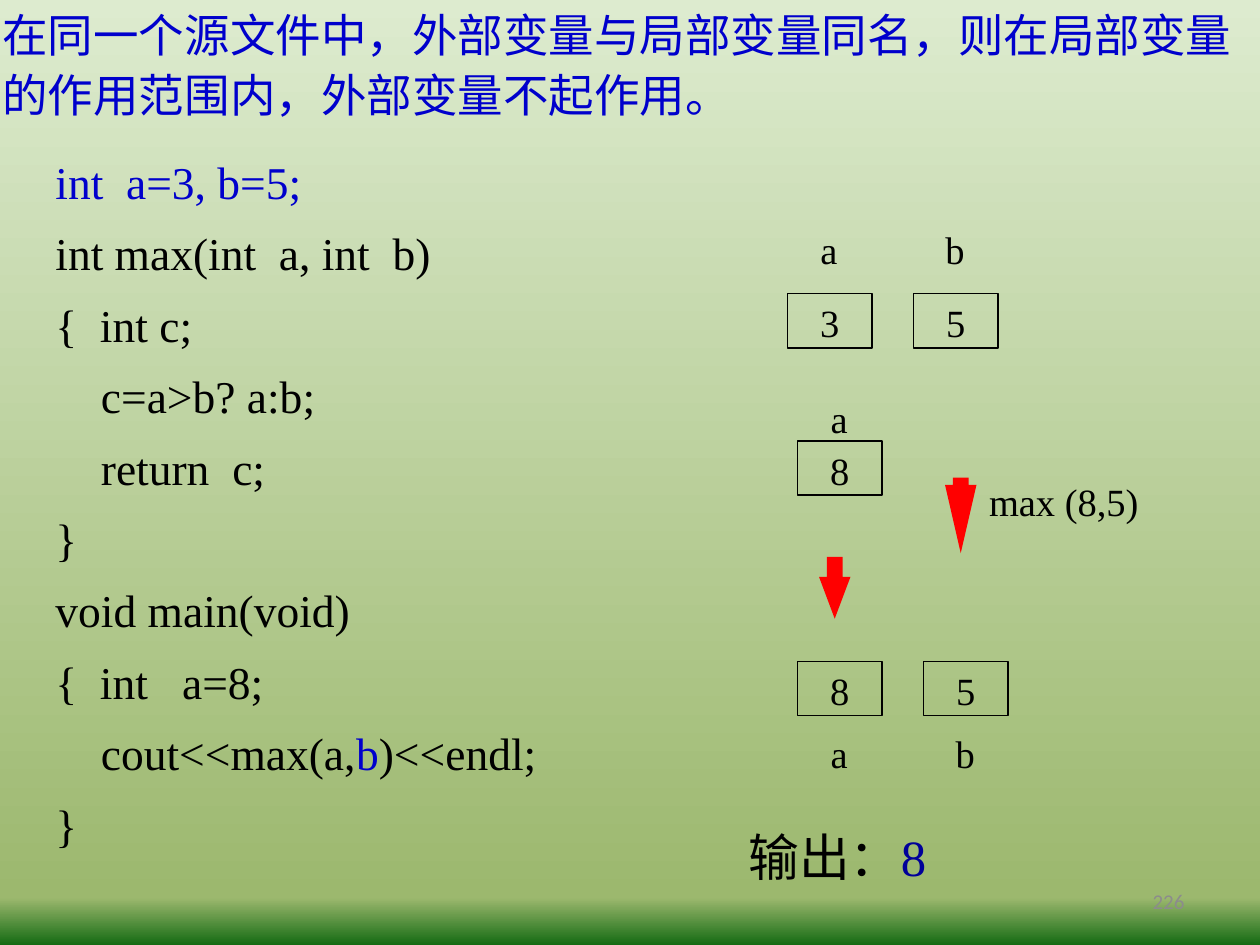
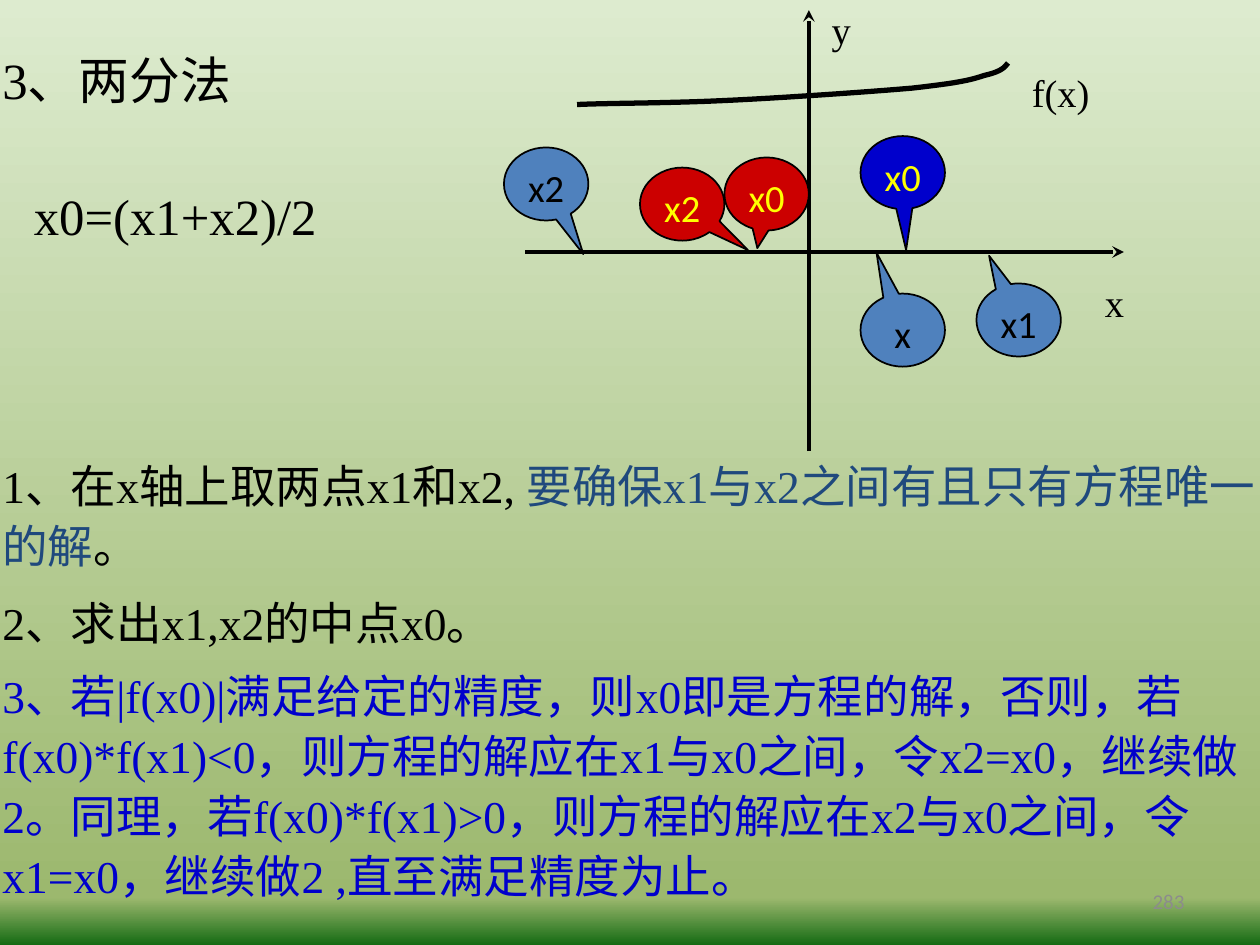
from copy import deepcopy
from dataclasses import dataclass

from lxml import etree
from pptx import Presentation
from pptx.dml.color import RGBColor
from pptx.enum import shapes, text
from pptx.oxml import ns
from pptx.util import Inches, Pt


@dataclass(frozen=True)
class Theme:
    black: str = "000000"
    blue: str = "0000CC"
    navy: str = "000099"
    slate: str = "1F497D"
    steel: str = "4F81BD"
    crimson: str = "CC0000"
    red: str = "FF0000"
    yellow: str = "FFFF00"
    grey: str = "8C8C8C"
    background: tuple = ((0, "DDEBCF"), (0.95, "9CB86E"), (1, "156B13"))
    serif: str = "Times New Roman"
    sans: str = "Calibri"
    heading: int = 29
    body: int = 26
    label: int = 22
    footer: int = 12
    thin: float = 1
    axis: float = 2.25
    curve: float = 3


THEME = Theme()
LABEL_HEIGHT = 0.43
TIGHT = (0.02, 0.01)
NORMAL = (0.1, 0.05)


def rgb(value):
    return RGBColor.from_string(value)


def apply(target, **values):
    for name, value in values.items():
        setattr(target, name, value)


def set_background(master):
    fill = master.background.fill
    fill.gradient()
    fill.gradient_angle = 270
    stop_list = next(master.element.iter(ns.qn("a:gsLst")))
    stop_list.insert(1, deepcopy(stop_list[0]))
    for stop, (position, color) in zip(fill.gradient_stops, THEME.background):
        stop.position = position
        stop.color.rgb = rgb(color)


def write(shape, paragraphs, size, color=THEME.black, font=THEME.serif, align="LEFT",
          anchor="TOP", inset=TIGHT, spacing=1.1, gap=0, grow=True):
    """Fill a shape with paragraphs, each a string or a list of (text, color) runs."""
    frame = shape.text_frame
    side, edge = (Inches(value) for value in inset)
    fit = text.MSO_AUTO_SIZE.SHAPE_TO_FIT_TEXT if grow else text.MSO_AUTO_SIZE.NONE
    apply(frame, margin_left=side, margin_right=side, margin_top=edge, margin_bottom=edge,
          word_wrap=True, auto_size=fit,
          vertical_anchor=getattr(text.MSO_ANCHOR, anchor))
    for index, content in enumerate(paragraphs):
        paragraph = frame.add_paragraph() if index else frame.paragraphs[0]
        apply(paragraph, alignment=getattr(text.PP_ALIGN, align), line_spacing=spacing)
        if index:
            paragraph.space_before = Pt(gap)
        runs = [(content, color)] if isinstance(content, str) else content
        for words, run_color in runs:
            run = paragraph.add_run()
            run.text = words
            apply(run.font, size=Pt(size), name=font)
            run.font.color.rgb = rgb(run_color)


def add_text(slide, box, paragraphs, size, **style):
    shape = slide.shapes.add_textbox(*map(Inches, box))
    write(shape, paragraphs, size, **style)


def add_shape(slide, kind, box, fill=None, line=None, adjustments=()):
    shape = slide.shapes.add_shape(getattr(shapes.MSO_SHAPE, kind), *map(Inches, box))
    shape.shadow.inherit = False
    for index, value in enumerate(adjustments):
        shape.adjustments[index] = value
    paint(shape, fill, line, THEME.thin)
    return shape


def paint(shape, fill, line, width):
    if fill:
        shape.fill.solid()
        shape.fill.fore_color.rgb = rgb(fill)
    else:
        shape.fill.background()
    if line:
        shape.line.color.rgb = rgb(line)
        shape.line.width = Pt(width)
    else:
        shape.line.fill.background()


def add_variable(slide, name, value, left, top, name_top):
    """Draw a memory cell holding a value, with its variable name centred on it."""
    cell = add_shape(slide, "RECTANGLE", (left, top, 0.67, LABEL_HEIGHT), line=THEME.black)
    write(cell, [value], THEME.label, align="CENTER")
    add_text(slide, (left + 0.08, name_top, 0.5, LABEL_HEIGHT), [name], THEME.label,
             align="CENTER")


def add_callout(slide, label, left, top, pointer, fill, color):
    callout = add_shape(slide, "OVAL_CALLOUT", (left, top, 0.67, 0.58), fill,
                        THEME.black, pointer)
    write(callout, [label], THEME.label, color, THEME.sans, align="CENTER", grow=False)


def add_axis(slide, start, end):
    axis = slide.shapes.add_connector(shapes.MSO_CONNECTOR.STRAIGHT,
                                      *map(Inches, start + end))
    axis.line.color.rgb = rgb(THEME.black)
    axis.line.width = Pt(THEME.axis)
    etree.SubElement(axis.line._get_or_add_ln(), ns.qn("a:tailEnd"), type="stealth")
    etree.SubElement(axis.element.spPr, ns.qn("a:effectLst"))


def bezier_point(controls, t):
    weights = ((1 - t) ** 3, 3 * t * (1 - t) ** 2, 3 * t ** 2 * (1 - t), t ** 3)
    return tuple(Inches(sum(w * point[axis] for w, point in zip(weights, controls)))
                 for axis in (0, 1))


def add_curve(slide, controls, steps=12):
    """Draw a chain of cubic Bezier pieces as one smooth open outline."""
    points = [bezier_point(controls[first:first + 4], step / steps)
              for first in range(0, len(controls) - 1, 3)
              for step in range(1, steps + 1)]
    builder = slide.shapes.build_freeform(*map(Inches, controls[0]))
    builder.add_line_segments(points, close=False)
    curve = builder.convert_to_shape()
    curve.shadow.inherit = False
    paint(curve, None, THEME.black, THEME.curve)


def add_slide(presentation, number):
    slide = presentation.slides.add_slide(presentation.slide_layouts[6])
    add_text(slide, (7.17, 6.95, 2.33, 0.4), [number], THEME.footer, color=THEME.grey,
             font=THEME.sans, align="RIGHT", anchor="MIDDLE", inset=NORMAL, spacing=1,
             grow=False)
    return slide


def build_scope_slide(presentation):
    slide = add_slide(presentation, "226")
    add_text(slide, (0, 0, 10, 0.98),
             ["在同一个源文件中，外部变量与局部变量同名，则在局部变量的作用范围内，外部变量不起作用。"],
             THEME.body, color=THEME.blue)
    code = [
        [("int  a=3, b=5;", THEME.blue)],
        "int max(int  a, int  b)",
        "{  int c;",
        "    c=a>b? a:b;",
        "    return  c;",
        "}",
        "void main(void)",
        "{  int   a=8;",
        [("    cout<<max(a,", THEME.black), ("b", THEME.blue), (")<<endl;", THEME.black)],
        "}",
    ]
    add_text(slide, (0.42, 1.17, 4.33, 5.62), code, THEME.body, gap=6.5)

    for name, value, left, top, name_top in (
            ("a", "3", 6.25, 2.33, 1.75), ("b", "5", 7.25, 2.33, 1.75),
            ("a", "8", 6.33, 3.5, 3.09),
            ("a", "8", 6.33, 5.25, 5.75), ("b", "5", 7.33, 5.25, 5.75)):
        add_variable(slide, name, value, left, top, name_top)
    for left, top, height, head in ((7.5, 3.79, 0.6, 2.17), (6.5, 4.42, 0.49, 1.33)):
        add_shape(slide, "DOWN_ARROW", (left, top, 0.25, height), THEME.red,
                  adjustments=(0.5, head))

    add_text(slide, (7.83, 3.75, 1.67, LABEL_HEIGHT), ["max (8,5)"], THEME.label)
    add_text(slide, (5.92, 6.5, 2.92, 0.56),
             [[("输出：", THEME.black), ("8", THEME.navy)]], THEME.heading)


def build_bisection_slide(presentation):
    slide = add_slide(presentation, "283")
    add_text(slide, (0, 0.33, 3, 0.56), ["3、两分法"], THEME.heading)
    add_text(slide, (0.17, 1.42, 3.08, 0.58), ["x0=(x1+x2)/2"], THEME.heading,
             inset=NORMAL, spacing=1)

    add_axis(slide, (4.17, 2), (8.92, 2))
    add_axis(slide, (6.42, 3.58), (6.42, 0.08))
    add_curve(slide, [(8, 0.5), (7.97, 0.54), (7.94, 0.57), (7.81, 0.6),
                      (7.69, 0.64), (7.59, 0.66), (7.24, 0.7),
                      (6.89, 0.73), (6.17, 0.78), (5.72, 0.8),
                      (5.28, 0.82), (4.77, 0.82), (4.58, 0.83)])
    for label, left, top in (("f(x)", 8.17, 0.5), ("x", 8.75, 2.17), ("y", 6.58, 0)):
        add_text(slide, (left, top, 0.8, LABEL_HEIGHT), [label], THEME.label)

    endpoint = (THEME.steel, THEME.black)
    moved = (THEME.crimson, THEME.yellow)
    midpoint = (THEME.blue, THEME.yellow)
    for label, left, top, pointer, colors in (
            ("x", 6.83, 2.33, (-0.31, -1.06), endpoint),
            ("x1", 7.75, 2.25, (-0.35, -0.88), endpoint),
            ("x2", 4, 1.17, (0.44, 0.96), endpoint),
            ("x0", 5.75, 1.25, (-0.11, 0.74), moved),
            ("x2", 5.08, 1.33, (0.78, 0.63), moved),
            ("x0", 6.83, 1.08, (0.04, 1.06), midpoint)):
        add_callout(slide, label, left, top, pointer, *colors)

    steps = (
        (3.58, 0.98, [("1、在x轴上取两点x1和x2, ", THEME.black),
                      ("要确保x1与x2之间有且只有方程唯一的解", THEME.slate),
                      ("。", THEME.black)]),
        (4.67, 0.5, "2、求出x1,x2的中点x0。"),
        (5.25, 1.95, [("3、若|f(x0)|满足给定的精度，则x0即是方程的解，否则，若f(x0)*f(x1)<0，"
                       "则方程的解应在x1与x0之间，令x2=x0，继续做2。同理，若f(x0)*f(x1)>0，"
                       "则方程的解应在x2与x0之间，令x1=x0，继续做2 ,直至满足精度为止。",
                       THEME.blue)]),
    )
    for top, height, step in steps:
        add_text(slide, (0, top, 10, height), [step], THEME.body)


def main():
    presentation = Presentation()
    apply(presentation, slide_width=Inches(10), slide_height=Inches(7.5))
    set_background(presentation.slide_master)
    build_scope_slide(presentation)
    build_bisection_slide(presentation)
    presentation.save("out.pptx")


if __name__ == "__main__":
    main()
